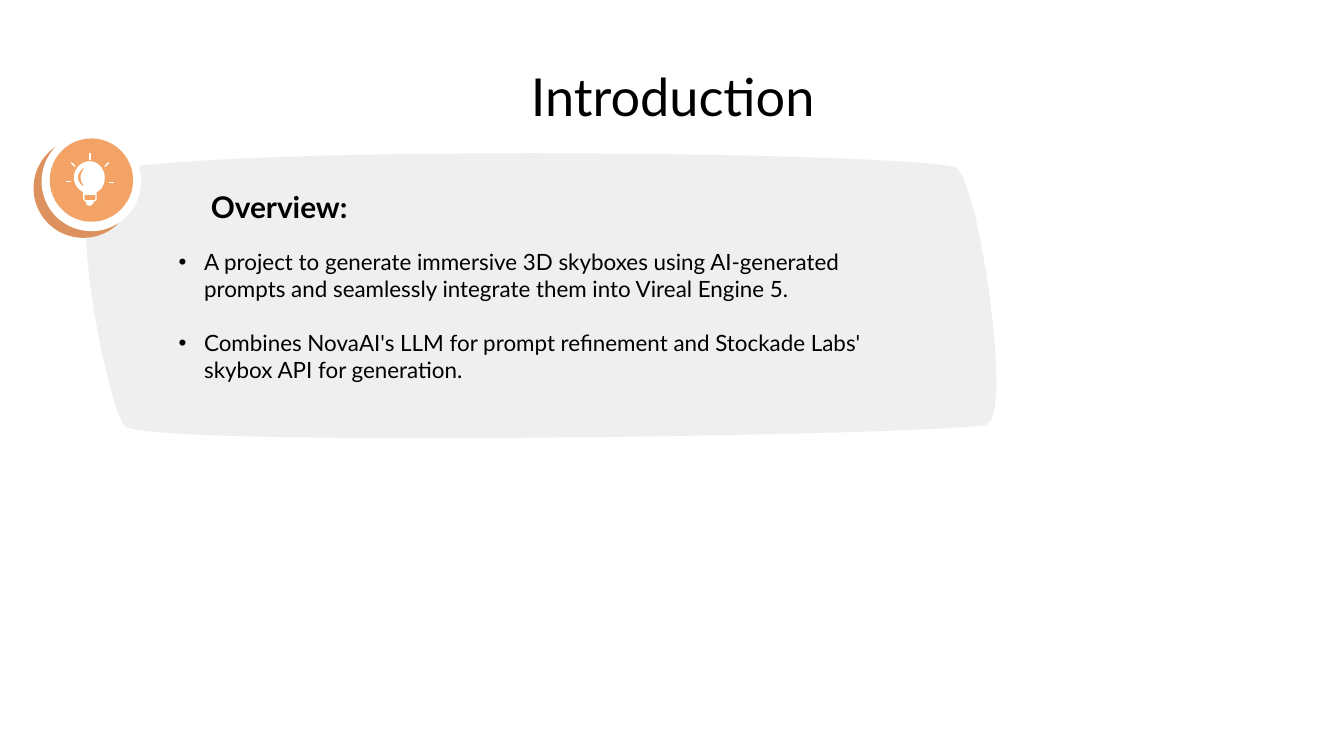
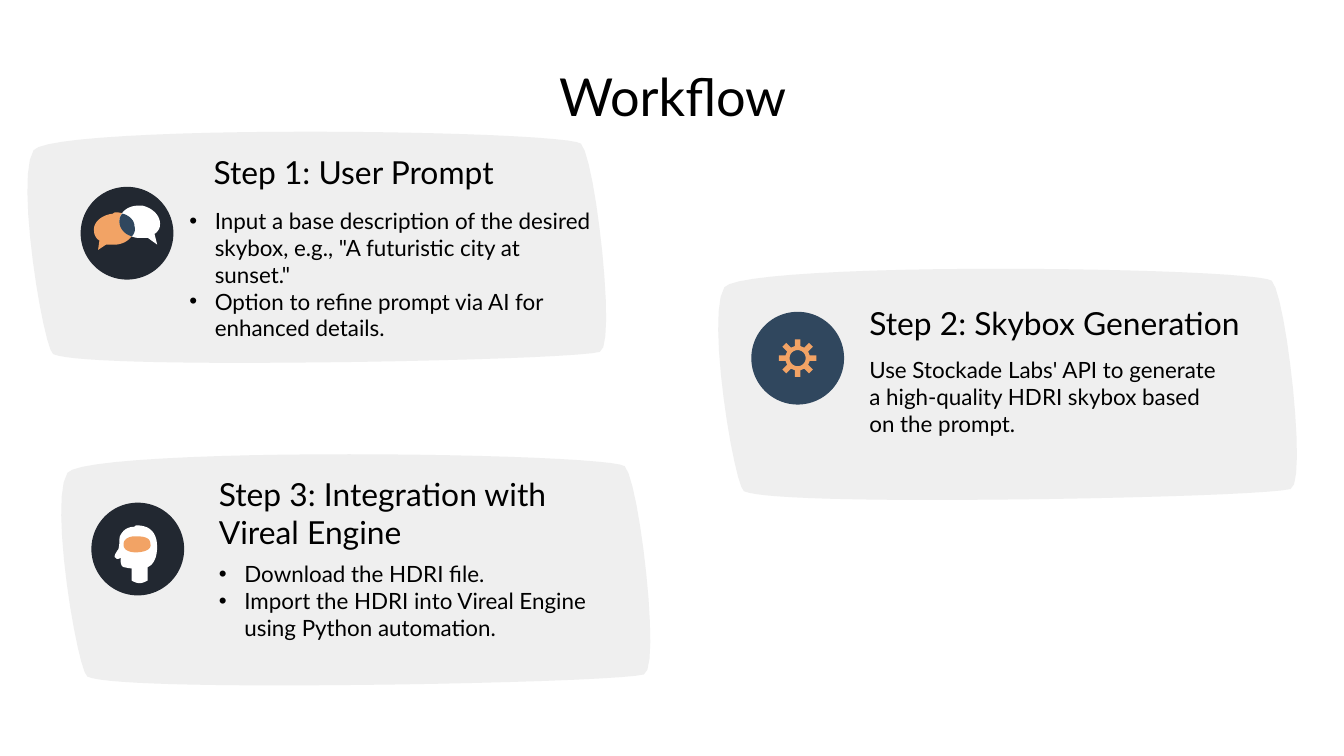
from math import cos, pi, sin

from lxml import etree
from pptx import Presentation
from pptx.dml.color import RGBColor
from pptx.enum.shapes import MSO_CONNECTOR, MSO_SHAPE
from pptx.enum.text import MSO_ANCHOR, MSO_AUTO_SIZE, PP_ALIGN
from pptx.oxml.ns import qn
from pptx.util import Inches, Pt

OVAL = MSO_SHAPE.OVAL
STRAIGHT = MSO_CONNECTOR.STRAIGHT
TOP, MIDDLE = MSO_ANCHOR.TOP, MSO_ANCHOR.MIDDLE
LEFT, CENTER = PP_ALIGN.LEFT, PP_ALIGN.CENTER
TITLE_ONLY = 5

FONT = "Lato"
BLACK, WHITE, PANEL_GRAY = "000000", "FFFFFF", "EFEFEF"
ORANGE, DARK_ORANGE = "F2A365", "DD915E"
NAVY, SLATE = "222831", "30475E"
SLIDE_WIDTH = 10
SLIDE_HEIGHT = SLIDE_WIDTH * 9 / 16
TITLE_BOX = (0.78, 0.45, 8.45, 0.53)
BADGE_SIZE = 0.69
BULLET_INDENT = 0.19

# Content: boxes are left, top, width, height in inches
OVERVIEW = {
    "title": "Introduction",
    "panel": (0.49, 1.14, 7.05, 2.12),
    "heading": ("Overview:", (1.47, 1.37, 1.79, 0.33)),
    "points": [
        "A project to generate immersive 3D skyboxes using AI-generated prompts "
        "and seamlessly integrate them into Vireal Engine 5.",
        "Combines NovaAI's LLM for prompt refinement and Stockade Labs' "
        "skybox API for generation.",
    ],
    "body": (1.23, 1.75, 5.65, 1.24),
}

WORKFLOW_TITLE = "Workflow"
STEPS = [
    {"panel": (0.11, 0.98, 4.48, 1.72), "badge": (0.6, 1.39, NAVY), "icon": "chat",
     "heading": ("Step 1: User Prompt", (1.49, 1.04, 3.09, 0.47)),
     "body": (1.31, 1.44, 3.22, 1.21), "bulleted": True,
     "points": ['Input a base description of the desired skybox, e.g., '
                '"A futuristic city at sunset."',
                "Option to refine prompt via AI for enhanced details."]},
    {"panel": (5.25, 2.0, 4.48, 1.72), "badge": (5.59, 2.32, SLATE), "icon": "gear",
     "heading": ("Step 2: Skybox Generation", (6.37, 2.17, 3.09, 0.47)),
     "body": (6.37, 2.55, 2.81, 0.58), "bulleted": False,
     "points": ["Use Stockade Labs' API to generate a high-quality HDRI skybox "
                "based on the prompt."]},
    {"panel": (0.36, 3.38, 4.56, 1.72), "badge": (0.68, 3.74, NAVY), "icon": "mind",
     "heading": ("Step 3: Integration with Vireal Engine", (1.53, 3.58, 3.09, 0.47)),
     "body": (1.53, 4.07, 3.09, 0.58), "bulleted": True,
     "points": ["Download the HDRI file.",
                "Import the HDRI into Vireal Engine using Python automation."]},
]

# Outlines: M = move, L = line, C = cubic curve
PANEL_SIZE = (7.05, 2.12)
PANEL_OUTLINE = (
    "M 3.46 0 C 1.9 0 0.33 0.05 0.22 0.17 C 0 0.42 0.34 2 0.45 2.04 "
    "C 0.62 2.1 1.55 2.12 2.66 2.12 C 4.41 2.12 6.61 2.07 6.85 2.02 "
    "C 7.05 1.98 6.8 0.25 6.63 0.11 C 6.54 0.05 5 0 3.46 0")

IDEA_DISCS = [(0.25, 1.03, 0.74, DARK_ORANGE), (0.31, 0.98, 0.74, WHITE),
              (0.37, 1.03, 0.62, ORANGE)]
IDEA_RAYS = [(0.67, 1.14, 0.67, 1.19), (0.81, 1.21, 0.78, 1.24),
             (0.85, 1.36, 0.81, 1.36), (0.49, 1.35, 0.53, 1.35),
             (0.53, 1.21, 0.56, 1.24)]
BULB = (
    "M 0.78 1.32 C 0.78 1.26 0.73 1.2 0.67 1.2 C 0.6 1.2 0.55 1.26 0.55 1.32 "
    "C 0.55 1.37 0.58 1.41 0.62 1.43 L 0.62 1.48 C 0.62 1.49 0.63 1.5 0.64 1.5 "
    "C 0.64 1.52 0.65 1.53 0.66 1.53 L 0.68 1.53 C 0.68 1.53 0.69 1.52 0.7 1.5 "
    "C 0.71 1.5 0.72 1.49 0.72 1.48 L 0.72 1.43 C 0.76 1.41 0.78 1.37 0.78 1.32 "
    "M 0.71 1.45 L 0.71 1.48 C 0.71 1.49 0.7 1.49 0.7 1.49 L 0.64 1.49 "
    "C 0.63 1.49 0.63 1.49 0.63 1.48 L 0.63 1.45 "
    "M 0.62 1.26 C 0.61 1.28 0.6 1.3 0.6 1.32 C 0.6 1.34 0.61 1.36 0.62 1.38 "
    "C 0.62 1.39 0.62 1.39 0.61 1.38 C 0.6 1.37 0.58 1.35 0.58 1.32 "
    "C 0.58 1.29 0.6 1.27 0.62 1.25 L 0.63 1.25")

ICONS = {
    "chat": [
        ("M 0.86 1.58 C 0.86 1.58 0.85 1.58 0.84 1.59 C 0.75 1.6 0.69 1.66 0.7 1.72 "
         "C 0.7 1.75 0.72 1.78 0.74 1.79 L 0.73 1.86 L 0.79 1.82 "
         "C 0.81 1.82 0.85 1.82 0.87 1.82 C 0.95 1.81 1.01 1.75 1 1.68 "
         "C 1 1.63 0.94 1.58 0.86 1.58", ORANGE),
        ("M 1.03 1.53 C 0.96 1.53 0.9 1.57 0.89 1.63 C 0.88 1.69 0.94 1.76 1.02 1.77 "
         "C 1.04 1.77 1.08 1.77 1.1 1.77 L 1.17 1.82 L 1.15 1.74 "
         "C 1.17 1.73 1.19 1.7 1.19 1.68 C 1.2 1.61 1.14 1.55 1.06 1.53 "
         "C 1.05 1.53 1.04 1.53 1.03 1.53", WHITE),
        ("M 0.91 1.59 C 0.9 1.6 0.89 1.62 0.89 1.63 C 0.88 1.69 0.92 1.74 0.98 1.76 "
         "C 1 1.74 1.01 1.71 1 1.68 C 1 1.64 0.96 1.6 0.91 1.59", SLATE),
    ],
    "mind": [
        ("M 1.02 3.91 C 1.01 3.91 1.01 3.91 1 3.92 C 0.93 3.92 0.9 3.97 0.89 4 "
         "C 0.89 4 0.89 4.07 0.88 4.09 C 0.87 4.1 0.84 4.15 0.86 4.15 "
         "C 0.86 4.15 0.87 4.16 0.87 4.16 C 0.89 4.16 0.9 4.15 0.9 4.15 "
         "C 0.9 4.15 0.89 4.21 0.92 4.22 C 0.96 4.23 0.98 4.23 0.98 4.23 L 0.98 4.32 "
         "C 0.98 4.32 1.01 4.34 1.04 4.34 C 1.06 4.34 1.08 4.33 1.1 4.32 L 1.1 4.22 "
         "C 1.1 4.22 1.17 4.2 1.17 4.07 C 1.17 3.94 1.09 3.91 1.02 3.91", WHITE),
        ("M 1.01 3.99 C 1 3.99 0.93 3.99 0.92 4.04 C 0.91 4.09 0.96 4.11 1.01 4.11 "
         "C 1.07 4.11 1.12 4.09 1.12 4.06 C 1.12 4.02 1.11 3.99 1.01 3.99", ORANGE),
    ],
}


def color(hex_code):
    return RGBColor.from_string(hex_code)


def paint(shape, fill):
    shape.shadow.inherit = False
    shape.fill.solid()
    shape.fill.fore_color.rgb = color(fill)
    shape.line.fill.background()


# Freeform outlines
def trace(outline, steps=12):
    """Turn an outline string into contours, sampling its curves."""
    words = outline.split()
    lengths = {"M": 2, "L": 2, "C": 6}
    contours, i = [], 0
    while i < len(words):
        command, count = words[i], lengths[words[i]]
        values = [float(word) for word in words[i + 1:i + 1 + count]]
        points = list(zip(values[::2], values[1::2]))
        i += 1 + count
        if command == "M":
            contours.append(points)
        elif command == "L":
            contours[-1] += points
        else:
            curve = [contours[-1][-1]] + points
            for t in (n / steps for n in range(1, steps + 1)):
                weights = ((1 - t) ** 3, 3 * t * (1 - t) ** 2, 3 * t * t * (1 - t), t ** 3)
                contours[-1].append(tuple(
                    sum(w * p[axis] for w, p in zip(weights, curve)) for axis in (0, 1)))
    return contours


def draw(slide, contours, fill, origin=(0, 0), scale=(1, 1)):
    placed = [[tuple(Inches(o + s * v) for o, s, v in zip(origin, scale, point))
               for point in contour] for contour in contours]
    builder = slide.shapes.build_freeform(*placed[0][0], scale=1.0)
    builder.add_line_segments(placed[0][1:], close=True)
    for hole in placed[1:]:
        builder.move_to(*hole[0])
        builder.add_line_segments(hole[1:], close=True)
    paint(builder.convert_to_shape(), fill)


def add_panel(slide, box):
    scale = [size / base for size, base in zip(box[2:], PANEL_SIZE)]
    draw(slide, trace(PANEL_OUTLINE), PANEL_GRAY, box[:2], scale)


def add_disc(slide, left, top, size, fill):
    disc = slide.shapes.add_shape(OVAL, *map(Inches, (left, top, size, size)))
    paint(disc, fill)


# Text
def write(shape, texts, size, anchor=TOP, align=LEFT, bold=False, bulleted=False, gap=0):
    frame = shape.text_frame
    frame.word_wrap = True
    frame.auto_size = MSO_AUTO_SIZE.NONE
    frame.vertical_anchor = anchor
    frame.margin_left = frame.margin_right = Inches(0.1)
    frame.margin_top = frame.margin_bottom = Inches(0.1)
    for i, text in enumerate(texts):
        paragraph = frame.add_paragraph() if i else frame.paragraphs[0]
        paragraph.alignment = align
        paragraph.space_before = Pt(gap if i else 0)
        if bulleted:
            add_bullet(paragraph)
        run = paragraph.add_run()
        run.text = text
        run.font.name, run.font.size, run.font.bold = FONT, Pt(size), bold
        run.font.color.rgb = color(BLACK)


def add_bullet(paragraph):
    properties = paragraph._p.get_or_add_pPr()
    properties.set("marL", str(Inches(BULLET_INDENT)))
    properties.set("indent", str(-Inches(BULLET_INDENT)))
    bullet_color = etree.SubElement(properties, qn("a:buClr"))
    etree.SubElement(bullet_color, qn("a:srgbClr"), val=BLACK)
    etree.SubElement(properties, qn("a:buFont"), typeface="Arial")
    etree.SubElement(properties, qn("a:buChar"), char="•")


def add_text(slide, box, texts, size, **style):
    write(slide.shapes.add_textbox(*map(Inches, box)), texts, size, **style)


def add_titled_slide(deck, text):
    slide = deck.slides.add_slide(deck.slide_layouts[TITLE_ONLY])
    title = slide.shapes.title
    title.left, title.top, title.width, title.height = map(Inches, TITLE_BOX)
    write(title, [text], 28, anchor=MIDDLE, align=CENTER)
    return slide


# Icons
def add_idea_icon(slide):
    for disc in IDEA_DISCS:
        add_disc(slide, *disc)
    for ends in IDEA_RAYS:
        ray = slide.shapes.add_connector(STRAIGHT, *map(Inches, ends))
        ray.line.color.rgb = color(WHITE)
        ray.line.width = Pt(0.75)
        etree.SubElement(ray._element.spPr, qn("a:effectLst"))
    draw(slide, trace(BULB), WHITE)


def gear_contours(teeth=8, tip=0.14, root=0.09, half_tooth=0.02, hole=0.06):
    tooth = [(root, -half_tooth), (tip, -half_tooth), (tip, half_tooth), (root, half_tooth)]
    rim = []
    for angle in (2 * pi * n / teeth for n in range(teeth)):
        rim += [(x * cos(angle) - y * sin(angle), x * sin(angle) + y * cos(angle))
                for x, y in tooth]
    circle = [(hole * cos(pi * n / 18), -hole * sin(pi * n / 18)) for n in range(36)]
    return [rim, circle]


def add_step(slide, step):
    left, top, fill = step["badge"]
    add_panel(slide, step["panel"])
    add_disc(slide, left, top, BADGE_SIZE, fill)
    if step["icon"] == "gear":
        center = (left + BADGE_SIZE / 2, top + BADGE_SIZE / 2)
        draw(slide, gear_contours(), ORANGE, center)
    else:
        for outline, part_fill in ICONS[step["icon"]]:
            draw(slide, trace(outline), part_fill)
    heading, heading_box = step["heading"]
    add_text(slide, heading_box, [heading], 17, anchor=MIDDLE)
    add_text(slide, step["body"], step["points"], 12, bulleted=step["bulleted"])


def main():
    deck = Presentation()
    deck.slide_width, deck.slide_height = Inches(SLIDE_WIDTH), Inches(SLIDE_HEIGHT)

    # Introduction
    intro = add_titled_slide(deck, OVERVIEW["title"])
    add_panel(intro, OVERVIEW["panel"])
    heading, heading_box = OVERVIEW["heading"]
    add_text(intro, heading_box, [heading], 16, anchor=MIDDLE, bold=True)
    add_text(intro, OVERVIEW["body"], OVERVIEW["points"], 12, bulleted=True, gap=14.4)
    add_idea_icon(intro)

    # Workflow
    workflow = add_titled_slide(deck, WORKFLOW_TITLE)
    for step in STEPS:
        add_step(workflow, step)

    deck.save("out.pptx")


if __name__ == "__main__":
    main()
